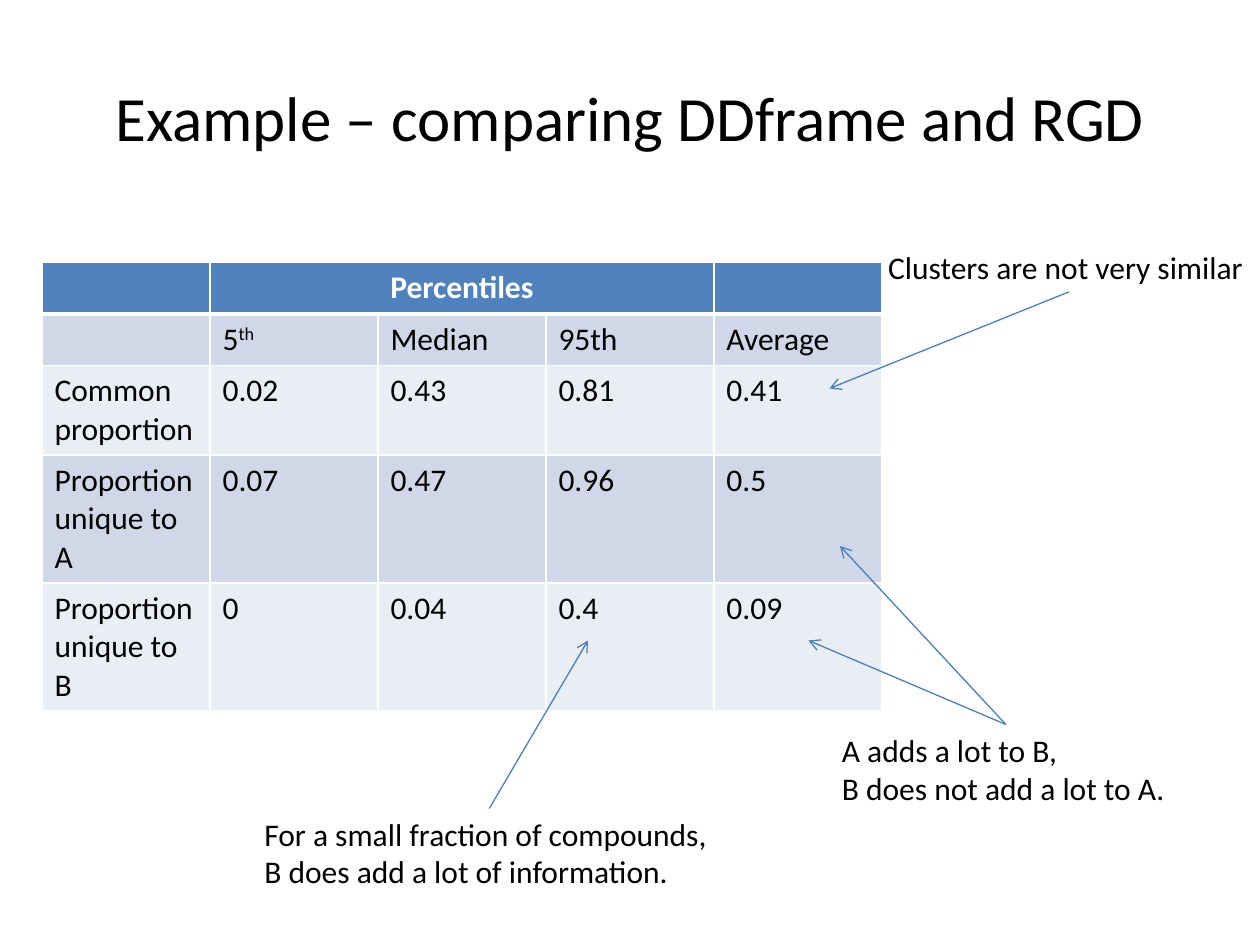
from dataclasses import dataclass

from lxml.etree import SubElement
from pptx import Presentation
from pptx.dml.color import RGBColor
from pptx.enum.shapes import MSO_CONNECTOR
from pptx.enum.text import MSO_ANCHOR, MSO_AUTO_SIZE, PP_ALIGN
from pptx.oxml.ns import qn
from pptx.util import Inches, Pt


@dataclass(frozen=True)
class Theme:
    font: str = "Calibri"
    title_size: int = 36
    body_size: int = 18
    ink: str = "000000"
    paper: str = "FFFFFF"
    header: str = "4F81BD"
    bands: tuple = ("D0D8E8", "E9EDF4")
    arrow: str = "4B7EBC"
    arrow_width: float = 0.75
    thin: int = 1
    thick: int = 3


def grid(units):
    """Length of so many grid columns or rows, twelve to the inch."""
    return Inches(units / 12)


def grids(*units):
    return [grid(unit) for unit in units]


class SlideBuilder:
    def __init__(self, deck, theme):
        self.theme = theme
        self.page = deck.slides.add_slide(deck.slide_layouts[5])

    def style(self, span, **changes):
        values = {"name": self.theme.font, "size": Pt(self.theme.body_size),
                  "bold": False, **changes}
        color = values.pop("color", self.theme.ink)
        for name, value in values.items():
            setattr(span.font, name, value)
        span.font.color.rgb = RGBColor.from_string(color)

    def add_lines(self, frame, lines, align=PP_ALIGN.LEFT, **changes):
        """Fill a frame; a line given as a pair has its second part raised."""
        for index, line in enumerate(lines):
            para = frame.add_paragraph() if index else frame.paragraphs[0]
            para.alignment = align
            parts = (line,) if isinstance(line, str) else line
            for raised, text in enumerate(parts):
                span = para.add_run()
                span.text = text
                self.style(span, **changes)
                if raised:
                    span._r.get_or_add_rPr().set("baseline", "30000")

    def title(self, text, left, top, width, height):
        box = self.page.shapes.title
        box.left, box.top, box.width, box.height = grids(left, top, width, height)
        box.text_frame.vertical_anchor = MSO_ANCHOR.MIDDLE
        self.add_lines(box.text_frame, [text], PP_ALIGN.CENTER,
                       size=Pt(self.theme.title_size))

    def note(self, lines, left, top, width, height):
        box = self.page.shapes.add_textbox(*grids(left, top, width, height))
        box.text_frame.word_wrap = False
        box.text_frame.auto_size = MSO_AUTO_SIZE.SHAPE_TO_FIT_TEXT
        self.add_lines(box.text_frame, lines)

    def arrow(self, start, end):
        line = self.page.shapes.add_connector(
            MSO_CONNECTOR.STRAIGHT, *grids(*start, *end))
        line.line.color.rgb = RGBColor.from_string(self.theme.arrow)
        line.line.width = Pt(self.theme.arrow_width)
        SubElement(line.line._get_or_add_ln(), qn("a:tailEnd"), type="arrow")
        SubElement(line._element.spPr, qn("a:effectLst"))

    def borders(self, cell, row):
        heavy = {0: "lnB", 1: "lnT"}.get(row)
        for side in ("lnL", "lnR", "lnT", "lnB"):
            width = self.theme.thick if side == heavy else self.theme.thin
            edge = SubElement(cell._tc.get_or_add_tcPr(), qn(f"a:{side}"),
                              w=str(Pt(width)))
            fill = SubElement(edge, qn("a:solidFill"))
            SubElement(fill, qn("a:srgbClr"), val=self.theme.paper)

    def table(self, rows, left, top, column_width, heights):
        """Draw rows under a header whose middle cells are merged."""
        count = len(rows[0])
        table = self.page.shapes.add_table(
            len(rows), count,
            *grids(left, top, column_width * count, sum(heights))).table
        for column in table.columns:
            column.width = grid(column_width)
        for row, (texts, height) in enumerate(zip(rows, heights)):
            table.rows[row].height = grid(height)
            for column, text in enumerate(texts):
                cell = table.cell(row, column)
                self.borders(cell, row)
                cell.fill.solid()
                color = self.theme.bands[(row - 1) % 2] if row else self.theme.header
                cell.fill.fore_color.rgb = RGBColor.from_string(color)
                if text and row:
                    self.add_lines(cell.text_frame, [text])
                elif text:
                    self.add_lines(cell.text_frame, [text], PP_ALIGN.CENTER,
                                   bold=True, color=self.theme.paper)
        table.cell(0, 1).merge(table.cell(0, count - 2))


ROWS = [
    ("", "Percentiles", "", "", ""),
    ("", ("5", "th"), "Median", "95th", "Average"),
    ("Common proportion", "0.02", "0.43", "0.81", "0.41"),
    ("Proportion unique to A", "0.07", "0.47", "0.96", "0.5"),
    ("Proportion unique to B", "0", "0.04", "0.4", "0.09"),
]
NOTES = [
    (["Clusters are not very similar"], 83.4, 23, 36.6, 4.8),
    (["A adds a lot to B,", "B does not add a lot to A."], 79, 69, 33.5, 8.5),
    (["For a small fraction of compounds,", "B does add a lot of information."],
     24, 77, 45.1, 8.5),
]
ARROWS = [
    ((101.8, 27.8), (79, 37)),
    ((95.8, 69), (80, 52)),
    ((95.8, 69), (77, 61)),
    ((46.6, 77), (56, 61)),
]


def main():
    deck = Presentation()
    deck.slide_width, deck.slide_height = grids(120, 90)
    slide = SlideBuilder(deck, Theme())
    slide.title("Example – comparing DDframe and RGD", 6, 3.6, 108, 15)
    slide.table(ROWS, 4, 25, 16, (4.9, 4.9, 8.5, 12.1, 12.1))
    for lines, *place in NOTES:
        slide.note(lines, *place)
    for start, end in ARROWS:
        slide.arrow(start, end)
    deck.save("out.pptx")


if __name__ == "__main__":
    main()
